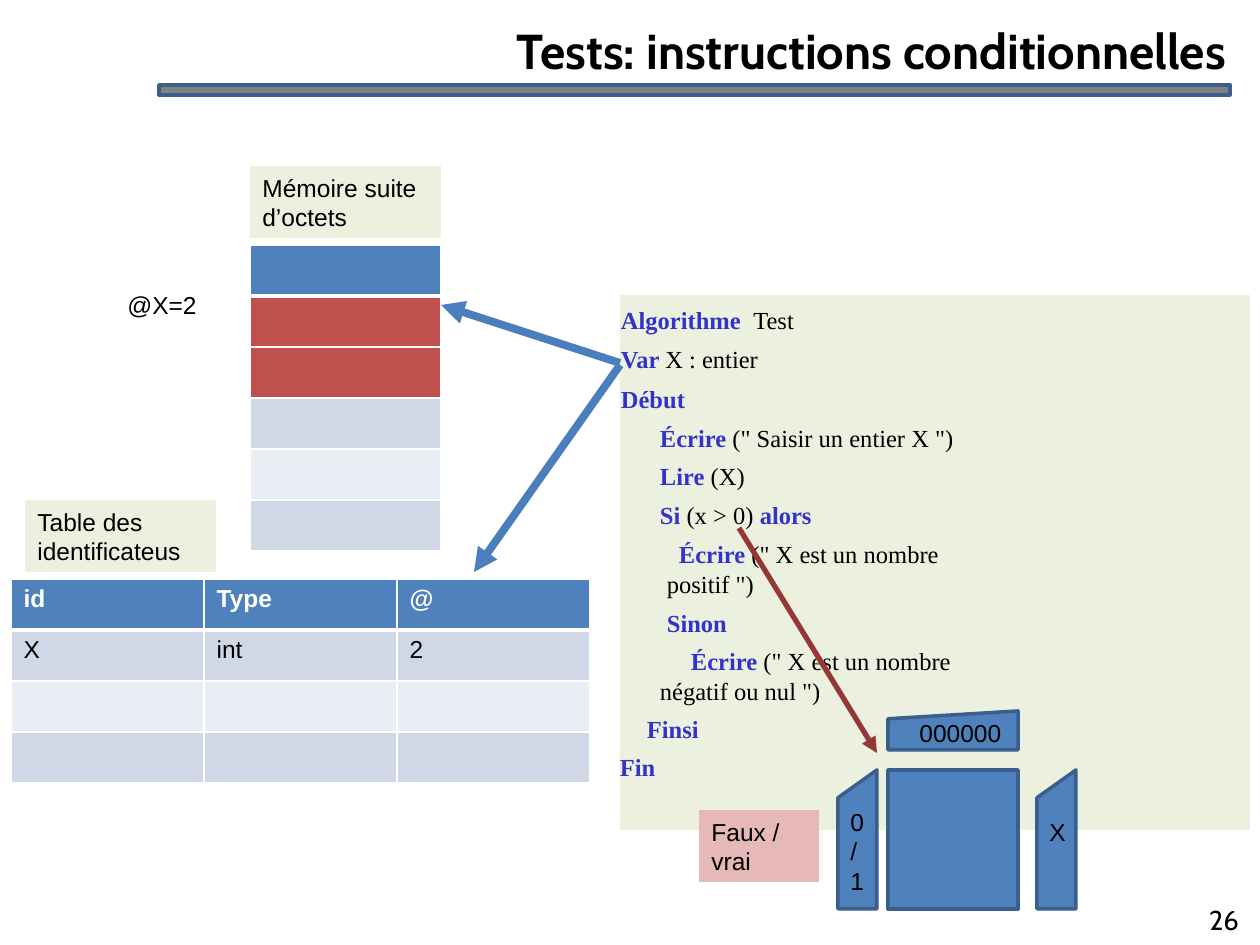
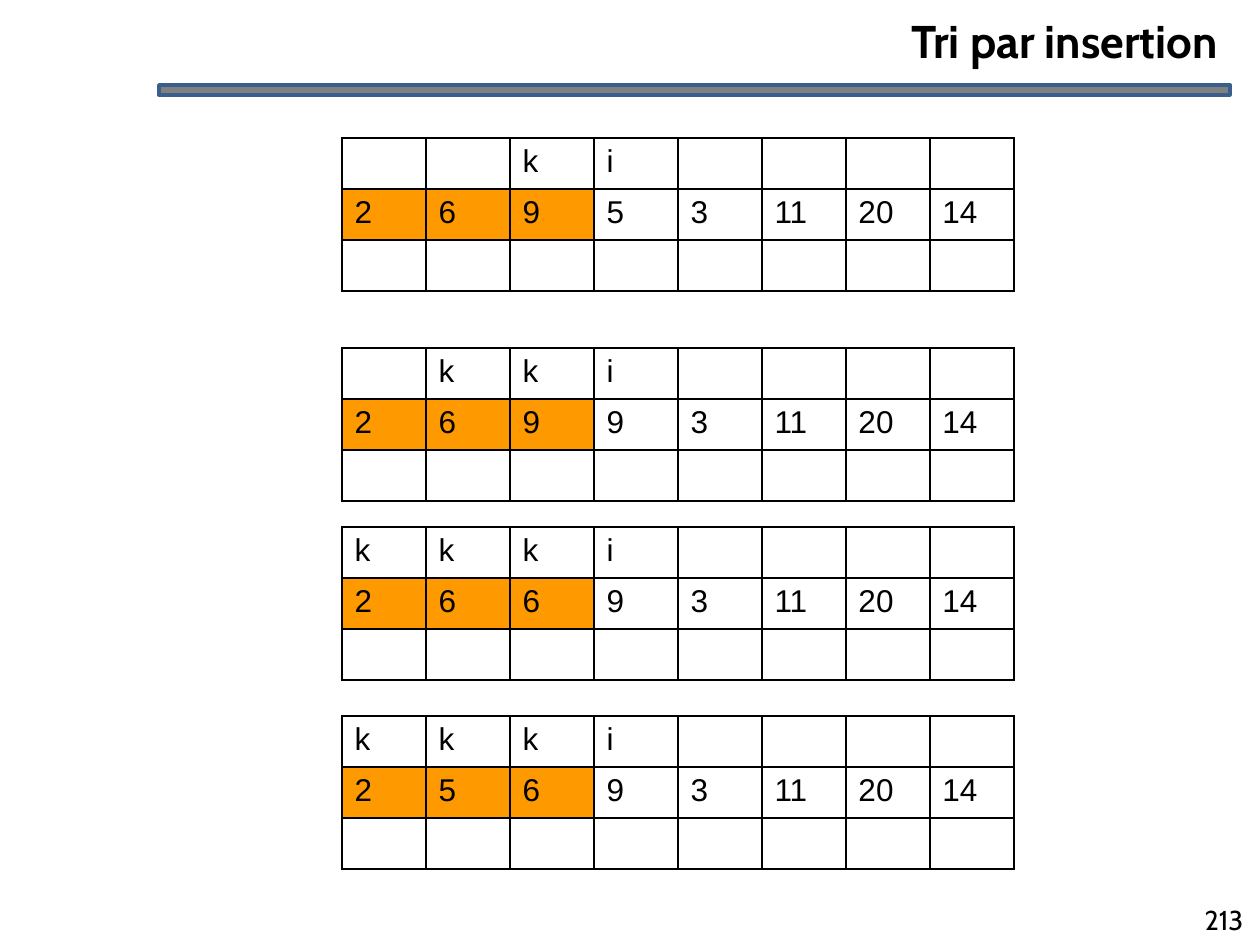
from lxml import etree
from pptx import Presentation
from pptx.dml.color import RGBColor
from pptx.enum.shapes import MSO_CONNECTOR, MSO_SHAPE
from pptx.enum.text import MSO_ANCHOR, PP_ALIGN
from pptx.oxml.ns import qn
from pptx.util import Pt

RECT, SLANT = MSO_SHAPE.RECTANGLE, MSO_SHAPE.FLOWCHART_MANUAL_INPUT
LINE = MSO_CONNECTOR.STRAIGHT
LEFT, MID, RIGHT = PP_ALIGN.LEFT, PP_ALIGN.CENTER, PP_ALIGN.RIGHT
TOP, CENTRE = MSO_ANCHOR.TOP, MSO_ANCHOR.MIDDLE
PX = 914400 / 126

COL = {
    "black": "000000", "white": "FFFFFF", "gray": "808080", "edge": "3A5F8C",
    "blue": "4F81BD", "red": "C0504D", "pale": "D0D8E8", "light": "E9EDF4",
    "green": "EBF1DE", "pink": "E6B9B8", "key": "3333CC",
    "arrow": "4B7EBC", "dark": "953735", "orange": "FF9900",
}
COL = {name: RGBColor.from_string(hue) for name, hue in COL.items()}


def box(slide, at, text="", fill=None, edge=None, kind=RECT, size=14,
        font="Arial", bold=False, align=LEFT):
    """Place a shape, or a text box when there is no fill."""
    at = [round(n * PX) for n in at]
    if fill:
        shape = slide.shapes.add_shape(kind, *at)
        shape.shadow.inherit = False
        shape.fill.solid()
        shape.fill.fore_color.rgb = COL[fill]
        if edge:
            shape.line.color.rgb = COL[edge]
            shape.line.width = Pt(2)
        else:
            shape.line.fill.background()
    else:
        shape = slide.shapes.add_textbox(*at)
    frame = shape.text_frame
    frame.word_wrap = True
    frame.vertical_anchor = CENTRE
    if text:
        para = frame.paragraphs[0]
        para.alignment = align
        run = para.add_run()
        run.text = text
        run.font.size, run.font.name, run.font.bold = Pt(size), font, bold
        run.font.color.rgb = COL["black"]
    return shape


def grid(slide, left, top, wide, rows, fills, rule, size, head=False):
    """Draw a table; fills holds one colour name or None per cell."""
    high = 51
    count = len(rows[0])
    spot = [round(n * PX) for n in (left, top, wide * count, high * len(rows))]
    frame = slide.shapes.add_table(len(rows), count, *spot)
    table = frame.table
    table.first_row = table.horz_banding = False
    for col in table.columns:
        col.width = round(wide * PX)
    for r, row in enumerate(rows):
        table.rows[r].height = round(high * PX)
        for c, text in enumerate(row):
            cell = table.cell(r, c)
            top_row = head and r == 0
            para = cell.text_frame.paragraphs[0]
            para.font.size = Pt(size)
            if text:
                run = para.add_run()
                run.text = text
                run.font.size, run.font.name = Pt(size), "Arial"
                run.font.bold = top_row
                run.font.color.rgb = COL["white" if top_row else "black"]
            # Borders come before the fill in the cell properties
            props = cell._tc.get_or_add_tcPr()
            for side in ("lnL", "lnR", "lnT", "lnB"):
                thick = head and (r, side) in ((0, "lnB"), (1, "lnT"))
                ln = etree.SubElement(props, qn("a:" + side), w=str(Pt(3 if thick else 1)))
                solid = etree.SubElement(ln, qn("a:solidFill"))
                etree.SubElement(solid, qn("a:srgbClr"), val=str(COL[rule]))
            if fills[r][c]:
                cell.fill.solid()
                cell.fill.fore_color.rgb = COL[fills[r][c]]
            else:
                cell.fill.background()


prs = Presentation()
prs.slide_width, prs.slide_height = round(1260 * PX), round(945 * PX)

# Shared parts: band, title, page number
slides = []
for title, size, at, page in (
    ("Tests: instructions conditionnelles", 28, (375, 16, 863, 67), "26"),
    ("Tri par insertion", 26.2, (96, 6, 1134, 68), "213"),
):
    slide = prs.slides.add_slide(prs.slide_layouts[6])
    box(slide, (159, 85, 1071, 10), fill="gray", edge="edge")
    box(slide, at, title, size=size, font="Cabin", bold=True, align=RIGHT)
    box(slide, (1188, 895, 72, 50), page, size=15.6, font="Cabin", align=MID)
    slides.append(slide)
tests, sort = slides

# Algorithm: margin, first indent, space before, line spacing,
# then runs that alternate keyword and plain text
CODE = [
    (1, 0, 0.7, 1.3, ["Algorithme  ", "Test"]),
    (1, 0, 0.7, 1.3, ["Var ", "X : entier"]),
    (1, 0, 0.7, 1.3, ["Début"]),
    (28, 12, 5.4, 1, ["Écrire ", "(\" Saisir un entier X \")"]),
    (28, 12, 5.4, 1, ["Lire ", "(X)"]),
    (28, 12, 5.4, 1, ["Si ", "(x > 0) ", "alors"]),
    (47, 12, 5.4, 1, ["Écrire ", "(\" X est un nombre positif \")"]),
    (47, 0, 5.4, 1, ["Sinon"]),
    (40, 31, 5.4, 1, ["Écrire ", "(\" X est un nombre négatif ou nul \")"]),
    (1, 26, 0, 1.3, ["Finsi"]),
    (1, -1, 0, 1.3, ["Fin"]),
]
code = box(tests, (620, 295, 630, 535), fill="green")
frame = code.text_frame
frame.vertical_anchor = TOP
frame.margin_left = frame.margin_bottom = 0
frame.margin_top = round(PX)
frame.margin_right = round(280 * PX)
for n, (margin, indent, before, space, runs) in enumerate(CODE):
    para = frame.add_paragraph() if n else frame.paragraphs[0]
    para.alignment = LEFT
    para.line_spacing = space
    if n:
        para.space_before = Pt(before)
    props = para._p.get_or_add_pPr()
    props.set("marL", str(round(margin * PX)))
    props.set("indent", str(round(indent * PX)))
    for k, text in enumerate(runs):
        run = para.add_run()
        run.text = text
        run.font.size, run.font.name = Pt(14), "Times New Roman"
        run.font.bold = k % 2 == 0
        run.font.color.rgb = COL["black" if k % 2 else "key"]

# Memory and identifier tables
BYTES = ["blue", "red", "red", "pale", "light", "pale"]
grid(tests, 250, 245, 191, [[""]] * 6, [[hue] for hue in BYTES],
     "white", 14, head=True)
IDS = [["id", "Type", "@"], ["X", "int", "2"], [""] * 3, [""] * 3]
grid(tests, 11, 579, 193, IDS,
     [[hue] * 3 for hue in ("blue", "pale", "light", "pale")],
     "white", 14, head=True)

# Labels
box(tests, (115, 284, 118, 42), "@X=2")
for at, text, hue in (
    ((250, 166, 191, 72), "Mémoire suite d’octets", "green"),
    ((25, 500, 191, 72), "Table des identificateus", "green"),
    ((699, 810, 120, 72), "Faux / vrai", "pink"),
):
    box(tests, at, text, fill=hue)

# Processor unit with its registers
box(tests, (888, 770, 130, 139), fill="blue", edge="edge")
for at, spot, text in (
    ((1037, 770, 39, 139), (1037, 810, 39, 43), "X"),
    ((888, 711, 130, 39), (907, 711, 110, 43), "000000"),
    ((838, 770, 39, 139), (838, 800, 39, 102), "0/1"),
):
    box(tests, at, fill="blue", edge="edge", kind=SLANT)
    box(tests, spot, text)

# Arrows
for ends, hue, width in (
    ((620, 363, 441, 305), "arrow", 4.5),
    ((620, 365, 474, 572), "arrow", 4.5),
    ((739, 528, 877, 753), "dark", 3),
):
    link = tests.shapes.add_connector(LINE, *[round(n * PX) for n in ends])
    link.line.color.rgb = COL[hue]
    link.line.width = Pt(width)
    etree.SubElement(link.line._get_or_add_ln(), qn("a:tailEnd"), type="triangle")
    etree.SubElement(link._element.spPr, qn("a:effectLst"))

# Insertion sort steps: top, marks, first four values
for top, marks, first in (
    (138, ["", "", "k", "i"], ["2", "6", "9", "5"]),
    (348, ["", "k", "k", "i"], ["2", "6", "9", "9"]),
    (527, ["k", "k", "k", "i"], ["2", "6", "6", "9"]),
    (716, ["k", "k", "k", "i"], ["2", "5", "6", "9"]),
):
    rows = [marks + [""] * 4, first + ["3", "11", "20", "14"], [""] * 8]
    fills = [[None] * 8, ["orange"] * 3 + [None] * 5, [None] * 8]
    grid(sort, 342, top, 84, rows, fills, "black", 18)

prs.save("out.pptx")
